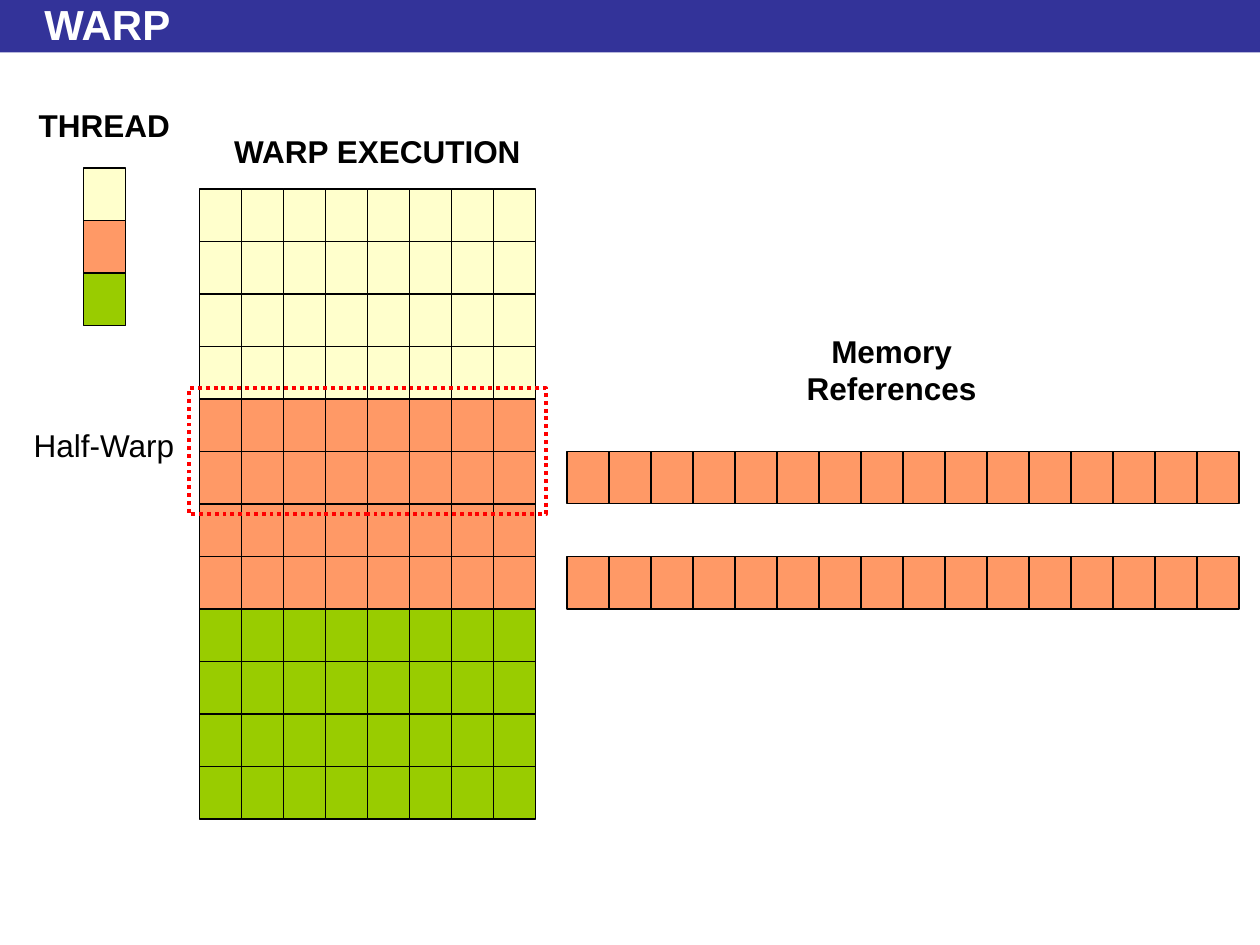
import pptx
import pptx.util
import pptx.dml.color
import pptx.enum.dml
import pptx.enum.shapes
import pptx.enum.text

Cm = pptx.util.Cm
Pt = pptx.util.Pt
RGB = pptx.dml.color.RGBColor.from_string
Align = pptx.enum.text.PP_ALIGN
Fit = pptx.enum.text.MSO_AUTO_SIZE

hues = {
    "band": "333399",
    "cream": "FFFFCC",
    "peach": "FF9966",
    "green": "99CC00",
    "black": "000000",
    "white": "FFFFFF",
    "red": "FF0000",
}

deck = pptx.Presentation()
deck.slide_width = Cm(25.4)
deck.slide_height = Cm(19.05)
slide = deck.slides.add_slide(deck.slide_layouts[5])
shapes = slide.shapes


def add_box(left, top, width, height, fill=None, line=None, weight=0.75):
    box = shapes.add_shape(
        pptx.enum.shapes.MSO_SHAPE.RECTANGLE,
        Cm(left), Cm(top), Cm(width), Cm(height))
    box.shadow.inherit = False
    if fill:
        box.fill.solid()
        box.fill.fore_color.rgb = RGB(hues[fill])
    else:
        box.fill.background()
    if line:
        box.line.color.rgb = RGB(hues[line])
        box.line.width = Pt(weight)
    else:
        box.line.fill.background()
    return box


def set_text(shape, text, hue, align, frame, font):
    body = shape.text_frame
    body.text = text
    para = body.paragraphs[0]
    para.alignment = align
    for name, value in frame.items():
        setattr(body, name, value)
    for name, value in font.items():
        setattr(para.runs[0].font, name, value)
    para.runs[0].font.color.rgb = RGB(hues[hue])


title = shapes.title
spot = {"left": 0.64, "top": 0.13, "width": 23.5, "height": 0.71}
for name, value in spot.items():
    setattr(title, name, Cm(value))
set_text(
    title, "WARP", "white", Align.LEFT,
    {"auto_size": Fit.NONE,
     "vertical_anchor": pptx.enum.text.MSO_ANCHOR.MIDDLE},
    {"name": "Arial", "size": Pt(24), "bold": True})

band = add_box(0, 0, 25.4, 1.06, "band")
title.element.addprevious(band.element)

wide = 2.54 / 3
tall = 2.54 * 5 / 12
stages = ["cream", "peach", "green"]
warp = [hue for hue in stages for step in range(4)]

grids = [
    (1.69, 3.39, 1, stages),
    (4.02, 3.81, 8, warp),
    (11.43, 9.1, 16, ["peach"]),
    (11.43, 11.22, 16, ["peach"]),
]
for left, top, count, rows in grids:
    for row, hue in enumerate(rows):
        for col in range(count):
            add_box(left + col * wide, top + row * tall, wide, tall,
                    hue, "black")

half = add_box(3.81, 7.83, 7.2, 2.54, None, "red", 2.25)
half.line.dash_style = pptx.enum.dml.MSO_LINE.ROUND_DOT

labels = [
    ("THREAD", 0.53, 2.01, 3.15, True, Align.CENTER),
    ("WARP EXECUTION", 4.45, 2.54, 6.32, True, Align.CENTER),
    ("Memory References", 14.71, 6.56, 6.53, True, Align.CENTER),
    ("Half-Warp", 0.43, 8.47, 3.35, False, Align.LEFT),
]
for text, left, top, width, bold, align in labels:
    label = shapes.add_textbox(Cm(left), Cm(top), Cm(width), Cm(1.02))
    set_text(
        label, text, "black", align,
        {"word_wrap": False, "auto_size": Fit.SHAPE_TO_FIT_TEXT},
        {"name": "Arial", "size": Pt(18), "bold": bold})

deck.save("out.pptx")
